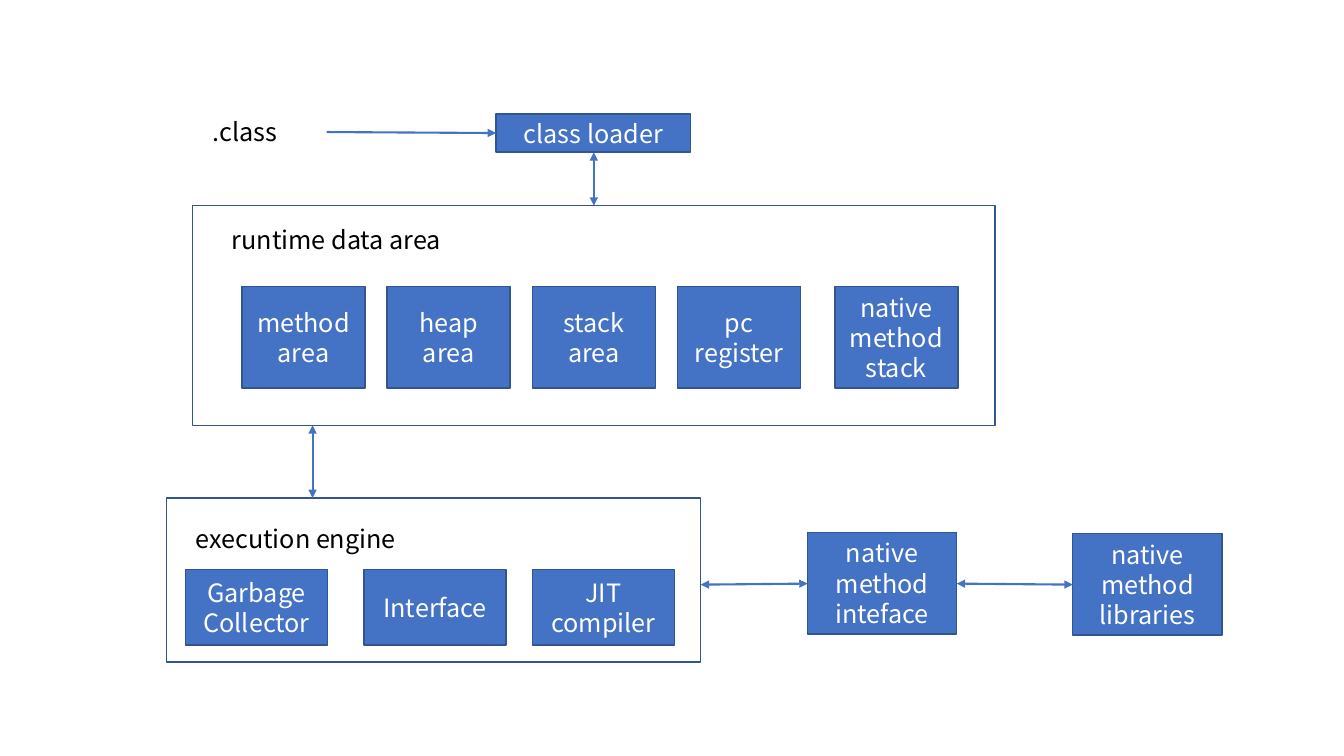
import collections
import dataclasses

import lxml.etree
import pptx
import pptx.dml.color
import pptx.enum.shapes
import pptx.enum.text
import pptx.oxml.ns
import pptx.util

Inches = pptx.util.Inches
Box = collections.namedtuple("Box", "left top width height")


@dataclasses.dataclass(frozen=True)
class Theme:
    """Colours, font and sizes of the diagram."""
    block: str = "4472C4"
    outline: str = "325491"
    light: str = "FFFFFF"
    dark: str = "000000"
    font: str = "Noto Sans CJK KR"
    size: float = 18
    outline_width: float = 1
    arrow_width: float = 1.5


THEME = Theme()


def colour(value):
    """Turn a hex string into a colour."""
    return pptx.dml.color.RGBColor.from_string(value)


def write(frame, lines, ink, align):
    """Fill a text frame with one paragraph per line."""
    frame.word_wrap = True
    for index, line in enumerate(lines):
        para = frame.paragraphs[0] if index == 0 else frame.add_paragraph()
        para.alignment = align
        span = para.add_run()
        span.text = line
        span.font.name = THEME.font
        span.font.size = pptx.util.Pt(THEME.size)
        span.font.color.rgb = colour(ink)


def add_frame(page, box):
    """Add an outlined rectangle without fill."""
    shape = page.shapes.add_shape(
        pptx.enum.shapes.MSO_SHAPE.RECTANGLE, *map(Inches, box))
    shape.shadow.inherit = False
    shape.fill.background()
    shape.line.color.rgb = colour(THEME.outline)
    shape.line.width = pptx.util.Pt(THEME.outline_width)
    return shape


def add_block(page, box, *lines):
    """Add a filled rectangle with centred text."""
    shape = add_frame(page, box)
    shape.fill.solid()
    shape.fill.fore_color.rgb = colour(THEME.block)
    shape.text_frame.vertical_anchor = pptx.enum.text.MSO_ANCHOR.MIDDLE
    write(shape.text_frame, lines, THEME.light, pptx.enum.text.PP_ALIGN.CENTER)


def add_label(page, box, text):
    """Add a plain dark label."""
    label = page.shapes.add_textbox(*map(Inches, box))
    write(label.text_frame, [text], THEME.dark, pptx.enum.text.PP_ALIGN.LEFT)
    label.text_frame.auto_size = pptx.enum.text.MSO_AUTO_SIZE.SHAPE_TO_FIT_TEXT


def add_arrow(page, start, end, ends=("headEnd", "tailEnd")):
    """Connect two points with arrowheads at the named ends."""
    arrow = page.shapes.add_connector(
        pptx.enum.shapes.MSO_CONNECTOR.STRAIGHT, *map(Inches, start + end))
    arrow.line.color.rgb = colour(THEME.block)
    arrow.line.width = pptx.util.Pt(THEME.arrow_width)
    outline = arrow.line._get_or_add_ln()
    for name in ends:
        lxml.etree.SubElement(
            outline, pptx.oxml.ns.qn("a:" + name), type="triangle")
    lxml.etree.SubElement(
        arrow._element.spPr, pptx.oxml.ns.qn("a:effectLst"))


def draw_loading(page, box):
    """Draw the class file entering the class loader."""
    left, top, width, height = box
    loader = Box(left + 2.91, top + 0.02, 1.93, 0.38)
    add_label(page, Box(left, top, 1.23, height), ".class")
    add_block(page, loader, "class loader")
    add_arrow(page, (left + 1.23, top + 0.2),
              (loader.left, top + 0.21), ["tailEnd"])


def draw_runtime(page, box):
    """Draw the runtime data area and its five memory blocks."""
    left, top, width, height = box
    add_frame(page, box)
    add_label(page, Box(left + 0.29, top + 0.14, 2.51, 0.4),
              "runtime data area")
    areas = [("method", "area"), ("heap", "area"), ("stack", "area"),
             ("pc", "register")]
    for index, lines in enumerate(areas):
        add_block(page, Box(left + 0.49 + 1.44 * index, top + 0.8, 1.22, 1.01),
                  *lines)
    add_block(page, Box(left + 6.37, top + 0.8, 1.22, 1.01),
              "native", "method", "stack")


def draw_engine(page, box):
    """Draw the execution engine and its three parts."""
    left, top, width, height = box
    add_frame(page, box)
    add_label(page, Box(left + 0.19, top + 0.2, 3.44, 0.4), "execution engine")
    parts = [(0.19, ("Garbage", "Collector")), (1.96, ("Interface",)),
             (3.63, ("JIT compiler",))]
    for offset, lines in parts:
        add_block(page, Box(left + offset, top + 0.71, 1.41, 0.75), *lines)


def draw_native(page, box):
    """Draw the native method blocks and the arrow joining them."""
    left, top, width, height = box
    block = Box(left, top, 1.48, 1.01)
    libraries = block._replace(left=left + width - block.width, top=top + 0.01)
    add_block(page, block, "native method", "inteface")
    add_block(page, libraries, "native method", "libraries")
    add_arrow(page, (left + block.width, top + 0.51),
              (libraries.left, top + 0.52))


def draw_diagram(page):
    """Place the regions and the arrows between them."""
    loading = Box(2.01, 1.11, 4.84, 0.4)
    runtime = Box(1.91, 2.04, 7.96, 2.18)
    engine = Box(1.65, 4.94, 5.3, 1.63)
    native = Box(8.01, 5.28, 4.11, 1.02)
    draw_loading(page, loading)
    draw_runtime(page, runtime)
    draw_engine(page, engine)
    draw_native(page, native)
    add_arrow(page, (5.89, runtime.top), (5.89, loading.top + loading.height))
    add_arrow(page, (3.1, engine.top), (3.1, runtime.top + runtime.height))
    add_arrow(page, (engine.left + engine.width, native.top + 0.52),
              (native.left, native.top + 0.51))


deck = pptx.Presentation()
deck.slide_width, deck.slide_height = Inches(13.33), Inches(7.5)
draw_diagram(deck.slides.add_slide(deck.slide_layouts[6]))
deck.save("out.pptx")
